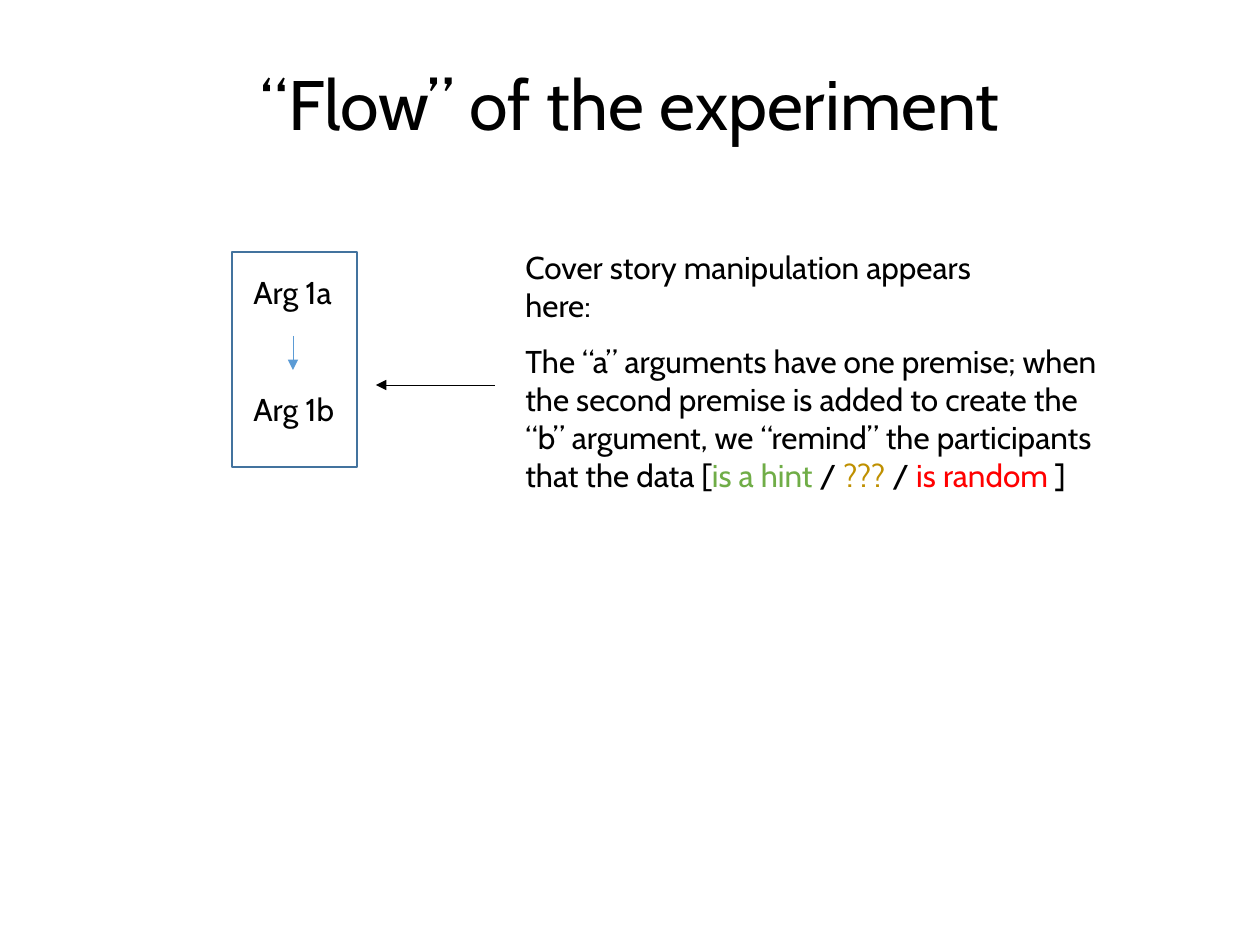
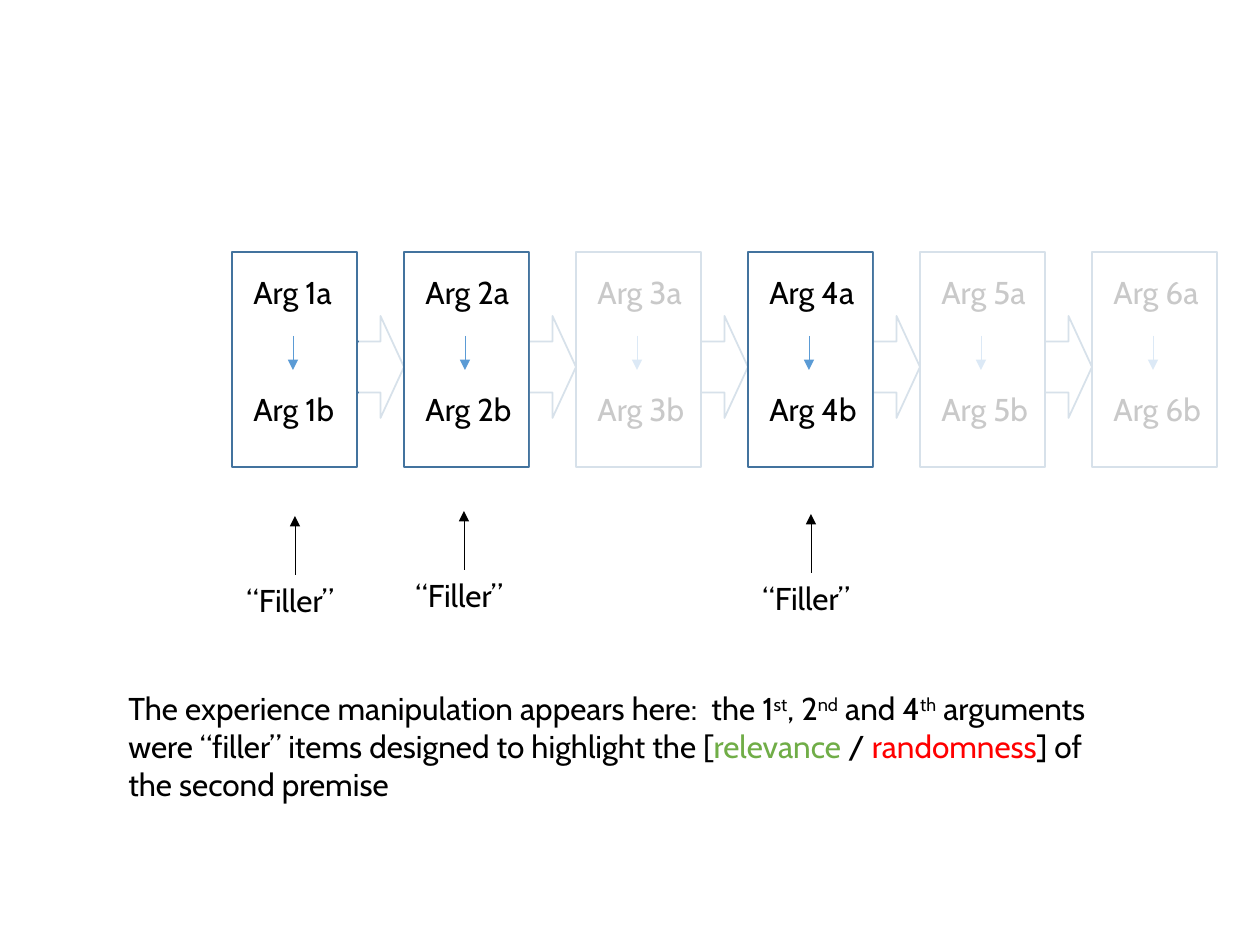
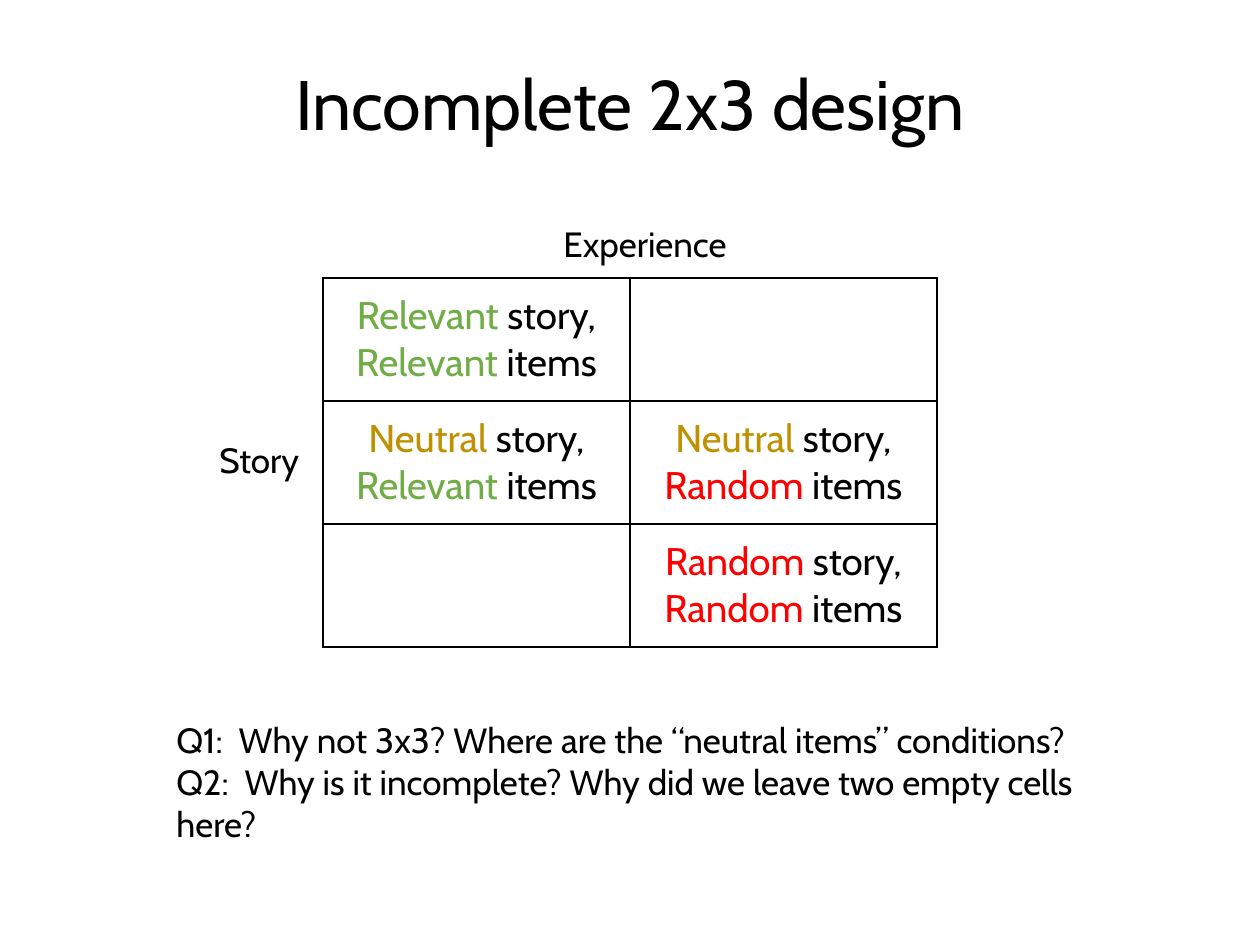
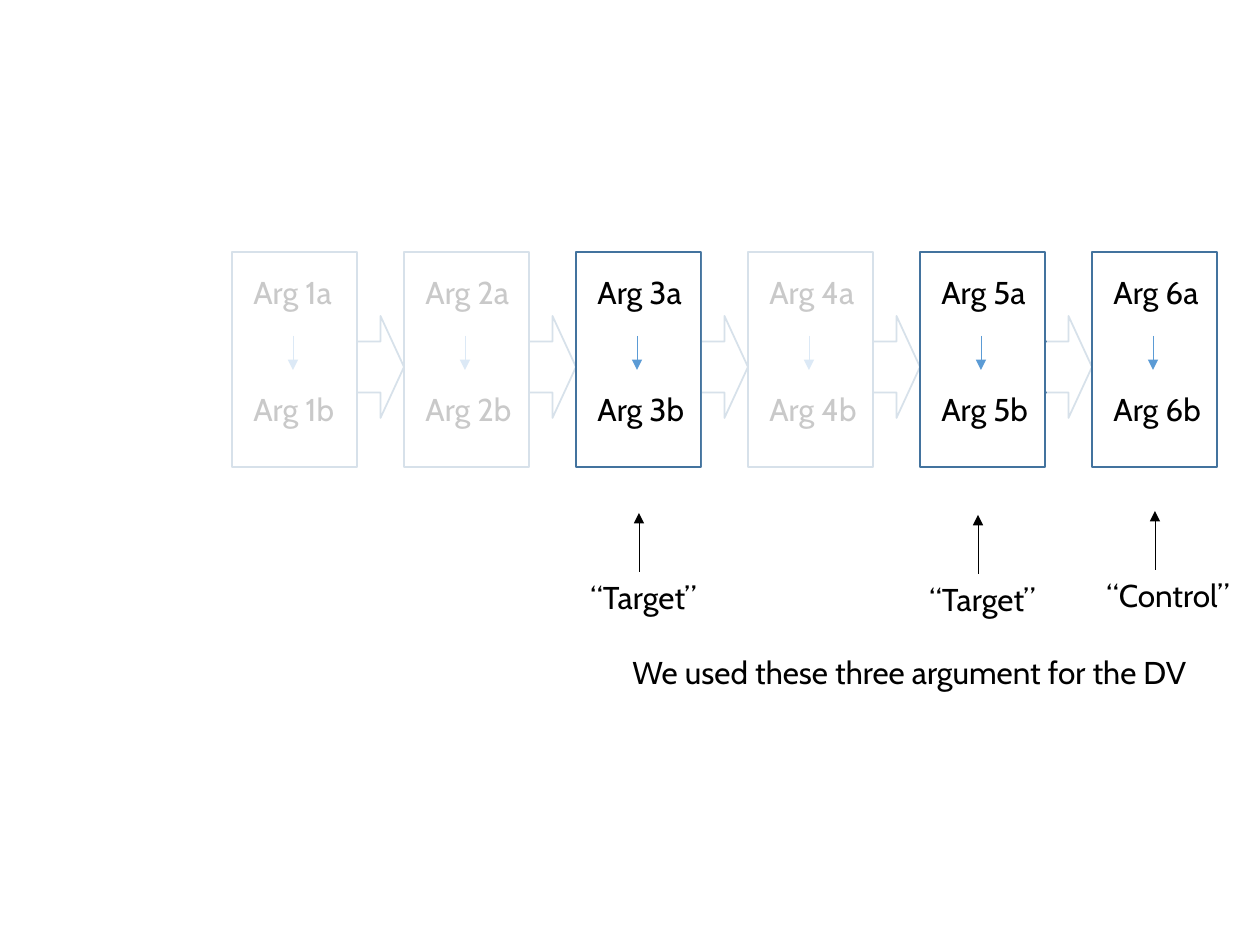
from lxml import etree
from pptx import Presentation
from pptx.dml.color import RGBColor
from pptx.enum.shapes import MSO_CONNECTOR, MSO_SHAPE
from pptx.enum.text import MSO_ANCHOR, MSO_AUTO_SIZE, PP_ALIGN
from pptx.oxml.ns import qn
from pptx.util import Emu, Inches, Pt

STRAIGHT = MSO_CONNECTOR.STRAIGHT
RECT, RIGHT_ARROW = MSO_SHAPE.RECTANGLE, MSO_SHAPE.RIGHT_ARROW
MIDDLE, CENTER = MSO_ANCHOR.MIDDLE, PP_ALIGN.CENTER
GROW, NO_FIT = MSO_AUTO_SIZE.SHAPE_TO_FIT_TEXT, MSO_AUTO_SIZE.NONE

FONT = "Cabin"
BLACK = RGBColor(0x00, 0x00, 0x00)
WHITE = RGBColor(0xFF, 0xFF, 0xFF)
OUTLINE = RGBColor(0x43, 0x73, 0x9E)
BLUE = RGBColor(0x5B, 0x9B, 0xD5)
GREEN = RGBColor(0x70, 0xAD, 0x47)
GOLD = RGBColor(0xBF, 0x90, 0x00)
RED = RGBColor(0xFF, 0x00, 0x00)

PX_PER_INCH = 126
TITLE_LAYOUT, BLANK_LAYOUT = 5, 6
TITLE_BOX = (87, 50, 1086, 116)

CARD_LEFT, CARD_TOP, CARD_W, CARD_H = 232, 252, 125, 215
CARD_PITCH, CARD_COUNT = 172, 6
VEIL_H = 270

RELEVANT, NEUTRAL, RANDOM = ("Relevant ", GREEN), ("Neutral ", GOLD), ("Random ", RED)
DESIGN = [
    [(RELEVANT, RELEVANT), None],
    [(NEUTRAL, RELEVANT), (NEUTRAL, RANDOM)],
    [None, (RANDOM, RANDOM)],
]


def px(n):
    return Emu(round(n * Inches(1) / PX_PER_INCH))


def add_runs(p, runs, size):
    """Add runs given as plain text or as (text, colour)."""
    for run in runs:
        text, color = (run, BLACK) if isinstance(run, str) else run
        r = p.add_run()
        r.text = text
        r.font.name, r.font.size, r.font.color.rgb = FONT, Pt(size), color


def add_paragraphs(tf, paragraphs, size):
    for i, runs in enumerate(paragraphs):
        p = tf.add_paragraph() if i else tf.paragraphs[0]
        add_runs(p, runs, size)


def add_text(slide, box, paragraphs, size=18, wrap=True):
    tf = slide.shapes.add_textbox(*map(px, box)).text_frame
    tf.word_wrap, tf.auto_size = wrap, GROW
    add_paragraphs(tf, paragraphs, size)
    return tf


def add_arrow(slide, start, end, color):
    line = slide.shapes.add_connector(STRAIGHT, *map(px, start + end))
    line.line.color.rgb, line.line.width = color, Pt(0.5)
    etree.SubElement(line.line._get_or_add_ln(), qn("a:tailEnd"), type="triangle")
    etree.SubElement(line._element.spPr, qn("a:effectLst"))


def add_outline(slide, preset, box):
    sp = slide.shapes.add_shape(preset, *map(px, box))
    sp.shadow.inherit = False
    sp.fill.background()
    sp.line.color.rgb, sp.line.width = OUTLINE, Pt(1)


def add_veil(slide, left, top, width):
    """Fade what lies beneath with a translucent white block."""
    sp = slide.shapes.add_shape(RECT, *map(px, (left, top, width, VEIL_H)))
    sp.shadow.inherit = False
    sp.line.fill.background()
    sp.fill.solid()
    sp.fill.fore_color.rgb = WHITE
    color = sp._element.spPr.find(qn("a:solidFill"))[0]
    etree.SubElement(color, qn("a:alpha"), val="79000")


def add_card(slide, left, top, number):
    """One argument pair, a leading to b."""
    for part, dy, width in (("a", 15, 111), ("b", 132, 113)):
        add_text(slide, (left + 9, top + dy, width, 50), [[f"Arg {number}{part}"]], wrap=False)
    add_outline(slide, RECT, (left, top, CARD_W, CARD_H))
    x = left + 61
    add_arrow(slide, (x, top + 84), (x, top + 118), BLUE)


def add_chain(slide, left, top):
    gap = CARD_PITCH - CARD_W
    for i in range(CARD_COUNT):
        x = left + i * CARD_PITCH
        if i:
            add_outline(slide, RIGHT_ARROW, (x - gap, top + 64, gap, 102))
        add_card(slide, x, top, i + 1)


def add_role(slide, left, top, width, role):
    """Label below a card, with an arrow pointing up at it."""
    add_text(slide, (left, top, width, 50), [[f"“{role}”"]])
    add_arrow(slide, (left + 61, top), (left + 61, top - 59), BLACK)


def add_title_slide(prs, text):
    slide = prs.slides.add_slide(prs.slide_layouts[TITLE_LAYOUT])
    title = slide.shapes.title
    title.left, title.top, title.width, title.height = map(px, TITLE_BOX)
    tf = title.text_frame
    tf.vertical_anchor, tf.auto_size, tf.word_wrap = MIDDLE, NO_FIT, True
    p = tf.paragraphs[0]
    p.alignment, p.line_spacing = CENTER, 0.9
    add_runs(p, [text], 40)
    return slide


def add_chain_slide(prs, roles, veils):
    slide = prs.slides.add_slide(prs.slide_layouts[BLANK_LAYOUT])
    add_chain(slide, CARD_LEFT, CARD_TOP)
    for role in roles:
        add_role(slide, *role)
    for veil in veils:
        add_veil(slide, *veil)
    return slide


def border_cell(cell):
    tc_pr = cell._tc.get_or_add_tcPr()
    for side in ("lnL", "lnR", "lnT", "lnB"):
        ln = etree.SubElement(tc_pr, qn(f"a:{side}"), w=str(Pt(1)))
        fill = etree.SubElement(ln, qn("a:solidFill"))
        etree.SubElement(fill, qn("a:srgbClr"), val=str(BLACK))


def add_design_table(slide, left, top, col_w, row_h):
    rows, cols = len(DESIGN), len(DESIGN[0])
    box = (left, top, col_w * cols, row_h * rows)
    table = slide.shapes.add_table(rows, cols, *map(px, box)).table
    table.first_row = table.horz_banding = False
    for row, conditions in zip(table.rows, DESIGN):
        row.height = px(row_h)
        for cell, condition in zip(row.cells, conditions):
            border_cell(cell)
            cell.fill.background()
            cell.vertical_anchor = MIDDLE
            cell.margin_left = cell.margin_right = px(5)
            cell.margin_top = cell.margin_bottom = px(5)
            if condition:
                story, items = condition
                add_paragraphs(cell.text_frame, [[story, "story,"], [items, "items"]], 22)
                for p in cell.text_frame.paragraphs:
                    p.alignment = CENTER


def build_flow(prs):
    slide = add_title_slide(prs, "“Flow” of the experiment")
    add_card(slide, CARD_LEFT, CARD_TOP, 1)
    add_text(slide, (513, 336, 597, 165), [[
        "The “a” arguments have one premise; when the second premise is added to create "
        "the “b” argument, we “remind” the participants that the data [",
        ("is a hint ", GREEN), "/ ", ("???", GOLD), " / ", ("is random ", RED), "]"]])
    add_arrow(slide, (495, 385), (376, 385), BLACK)
    add_text(slide, (513, 242, 542, 50), [["Cover story manipulation appears here:"]])


def build_fillers(prs):
    slide = add_chain_slide(
        prs,
        [(234, 575, 123, "Filler"), (403, 570, 123, "Filler"), (750, 573, 123, "Filler")],
        [(530, 226, 217), (874, 232, 367), (359, 219, 44)])
    tf = add_text(slide, (116, 683, 982, 127), [[
        "The experience manipulation appears here:  the 1", "st", ", 2", "nd", " and 4", "th",
        " arguments were “filler” items designed to highlight the [",
        ("relevance ", GREEN), "/ ", ("randomness", RED), "] of the second premise"]])
    for r in tf.paragraphs[0].runs:
        if r.text in ("st", "nd", "th"):
            r._r.get_or_add_rPr().set("baseline", "30000")


def build_design(prs):
    slide = add_title_slide(prs, "Incomplete 2x3 design")
    add_design_table(slide, 323, 278, 307, 123)
    add_text(slide, (207, 432, 174, 55), [["Story"]], 20)
    add_text(slide, (551, 216, 306, 55), [["Experience"]], 20)
    add_text(slide, (164, 712, 982, 97), [
        ["Q1:  Why not 3x3? Where are the “neutral items” conditions?"],
        ["Q2:  Why is it incomplete? Why did we leave two empty cells here?"]], 20)


def build_targets(prs):
    slide = add_chain_slide(
        prs,
        [(578, 572, 145, "Target"), (917, 574, 150, "Target"), (1094, 570, 175, "Control")],
        [(702, 215, 217), (208, 229, 367), (1047, 202, 44)])
    add_text(slide, (620, 647, 634, 50), [["We used these three argument for the DV"]])


def main():
    prs = Presentation()
    prs.slide_width, prs.slide_height = Inches(10), Inches(7.5)
    for build in (build_flow, build_fillers, build_design, build_targets):
        build(prs)
    prs.save("out.pptx")


if __name__ == "__main__":
    main()
